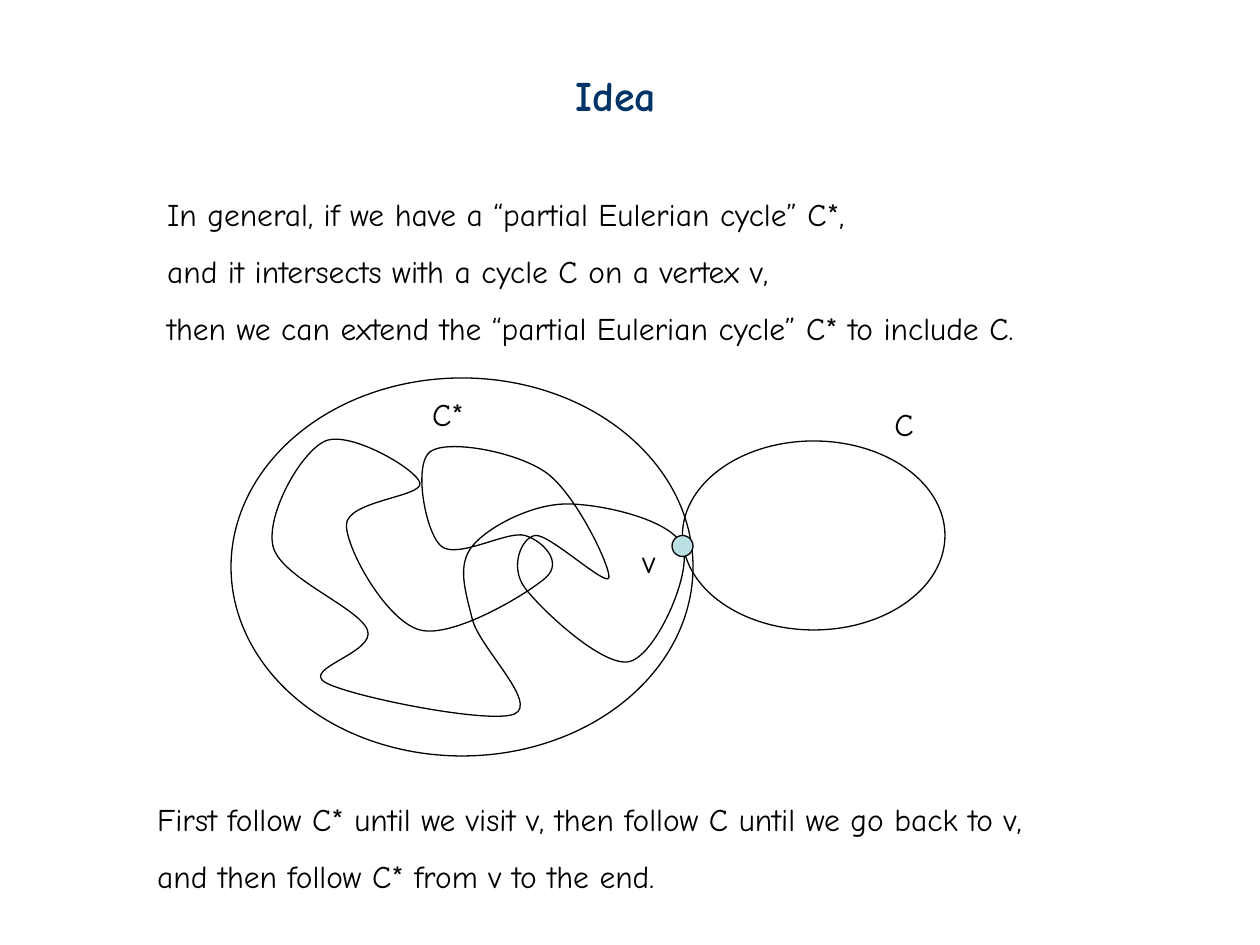
from pptx import Presentation
from pptx.dml.color import RGBColor
from pptx.enum.shapes import MSO_SHAPE
from pptx.enum.text import MSO_AUTO_SIZE
from pptx.oxml.ns import qn
from pptx.util import Cm, Pt
from lxml.etree import SubElement

HUES = {"title": "003366", "ink": "000000", "paper": "FFFFFF", "node": "BBE0E3"}
FONT = "Comic Neue"
GRID = 2.54 / 12
KNOTS = [
    (58, 55), (52, 45), (41, 43), (42, 52), (50, 51), (52, 55), (40, 60),
    (33, 50), (40, 46), (31, 42), (26, 52), (35, 60), (31, 65), (49, 68),
    (45, 59), (45, 52), (54, 48), (65, 52), (60, 63), (50, 56), (51, 51),
]


def hue(name):
    return RGBColor.from_string(HUES[name])


def unit(count):
    return Cm(count * GRID)


def add_text(slide, left, top, width, height, lines, size=18, ink="ink", bold=False):
    box = slide.shapes.add_textbox(Cm(left), Cm(top), Cm(width), Cm(height))
    frame = box.text_frame
    frame.word_wrap = False
    frame.auto_size = MSO_AUTO_SIZE.SHAPE_TO_FIT_TEXT
    for row, line in enumerate(lines):
        para = frame.add_paragraph() if row else frame.paragraphs[0]
        para.text = line
        if row:
            para.line_spacing = 1.5
        font = para.font
        font.name = FONT
        font.size = Pt(size)
        font.bold = bold
        font.color.rgb = hue(ink)


def style(shape, fill=None):
    shape.shadow.inherit = False
    if fill:
        shape.fill.solid()
        shape.fill.fore_color.rgb = hue(fill)
    else:
        shape.fill.background()
    shape.line.color.rgb = hue("ink")
    shape.line.width = Pt(0.75)


def add_oval(slide, left, top, width, height, fill=None):
    box = map(unit, (left, top, width, height))
    style(slide.shapes.add_shape(MSO_SHAPE.OVAL, *box), fill)


def bend(knots):
    points = []
    count = len(knots)
    for i in range(count):
        prior, start, end, after = (knots[(i + k) % count] for k in (-1, 0, 1, 2))
        points.append([s + (e - p) / 6 for p, s, e in zip(prior, start, end)])
        points.append([e - (a - s) / 6 for s, e, a in zip(start, end, after)])
        points.append(end)
    return points


def add_curve(slide, knots):
    start, *rest = [(unit(x), unit(y)) for x, y in [knots[0], *bend(knots)]]
    pen = slide.shapes.build_freeform(*start)
    pen.add_line_segments(rest, close=True)
    shape = pen.convert_to_shape()
    style(shape)
    path = next(shape.element.iter(qn("a:path")))
    steps = path.findall(qn("a:lnTo"))
    end = path.find(qn("a:close"))
    for i in range(0, len(steps), 3):
        curve = SubElement(path, qn("a:cubicBezTo"))
        for step in steps[i:i + 3]:
            curve.append(step[0])
            path.remove(step)
    path.append(end)


def main():
    deck = Presentation()
    deck.slide_width, deck.slide_height = Cm(25.4), Cm(19.05)
    slide = deck.slides.add_slide(deck.slide_layouts[6])

    add_text(slide, 11.35, 1.27, 2.41, 1.27, ["Idea"], 24, "title", True)
    add_text(slide, 3.12, 3.81, 19.1, 3.3, [
        "In general, if we have a “partial Eulerian cycle” C*,",
        "and it intersects with a cycle C on a vertex v,",
        "then we can extend the “partial Eulerian cycle” C* to include C.",
    ])

    add_oval(slide, 22, 36, 44, 36, "paper")
    add_curve(slide, KNOTS)
    add_oval(slide, 65, 42, 25, 18)
    add_oval(slide, 64, 51, 2, 2, "node")

    add_text(slide, 12.7, 10.8, 0.81, 1.02, ["v"])
    add_text(slide, 2.92, 16, 19.94, 2.16, [
        "First follow C* until we visit v, then follow C until we go back to v,",
        "and then follow C* from v to the end.",
    ])
    add_text(slide, 8.46, 7.83, 1.22, 1.02, ["C*"])
    add_text(slide, 17.78, 8.04, 0.89, 1.02, ["C"])
    deck.save("out.pptx")


if __name__ == "__main__":
    main()
